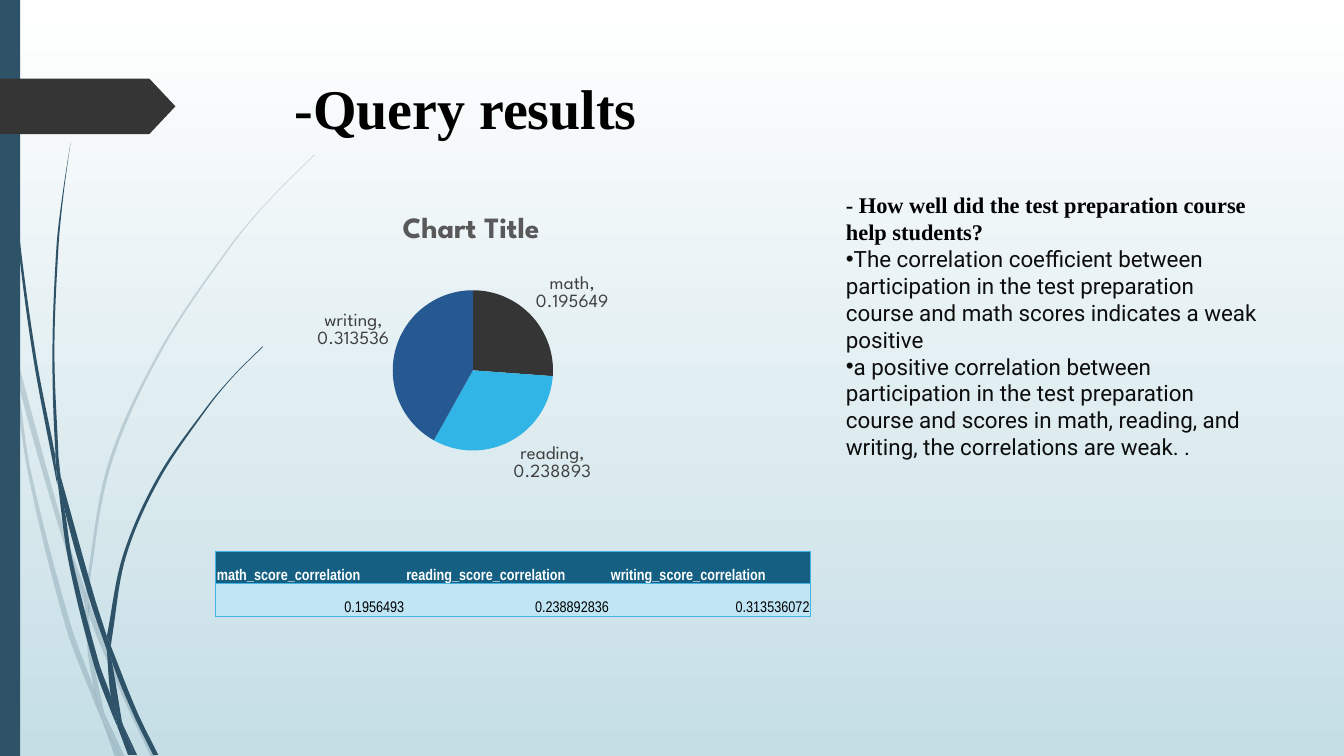
from math import hypot

from lxml import etree
from pptx import Presentation
from pptx.chart.data import CategoryChartData
from pptx.dml.color import RGBColor
from pptx.enum.chart import XL_CHART_TYPE, XL_LABEL_POSITION
from pptx.enum.shapes import MSO_SHAPE
from pptx.enum.text import MSO_ANCHOR, PP_ALIGN
from pptx.oxml import parse_xml
from pptx.oxml.ns import nsdecls, qn
from pptx.util import Pt

PIE = XL_CHART_TYPE.PIE
OUTSIDE_END = XL_LABEL_POSITION.OUTSIDE_END
RECTANGLE, PENTAGON = MSO_SHAPE.RECTANGLE, MSO_SHAPE.PENTAGON
TOP, BOTTOM = MSO_ANCHOR.TOP, MSO_ANCHOR.BOTTOM
LEFT, RIGHT = PP_ALIGN.LEFT, PP_ALIGN.RIGHT

EMU_PER_PX = 9144
WHITE = RGBColor(0xFF, 0xFF, 0xFF)
BLACK = RGBColor(0x00, 0x00, 0x00)
BODY_INK = RGBColor(0x0D, 0x0D, 0x0D)
CHART_TITLE_GRAY = RGBColor(0x59, 0x59, 0x59)
CHART_LABEL_GRAY = RGBColor(0x40, 0x40, 0x40)
BACKGROUND_BLUE = RGBColor(0xC5, 0xDE, 0xE5)
STEM_BLUE = RGBColor(0x2E, 0x53, 0x69)
CHARCOAL = RGBColor(0x35, 0x35, 0x35)
SKY = RGBColor(0x31, 0xB4, 0xE6)
NAVY = RGBColor(0x26, 0x59, 0x91)
HEADER_BLUE = RGBColor(0x15, 0x60, 0x82)
ROW_BLUE = RGBColor(0xC0, 0xE6, 0xF5)
BORDER_BLUE = RGBColor(0x44, 0xB3, 0xE1)
SERIF, SANS, NARROW, CHART_FONT = "Times New Roman", "Roboto", "Arial Narrow", "League Spartan"

# Each blade is one edge going out, then the other edge coming back.
LIGHT_BLADES = [
    ([(11, 350), (9, 322), (0, 282)], [(0, 299), (10, 344), (11, 350)]),
    ([(14, 345), (17, 376), (58, 522), (84, 599)], [(85, 586), (62, 520), (14, 345)]),
    ([(88, 596), (88, 610), (123, 694), (150, 751)],
     [(155, 751), (127, 692), (92, 607), (88, 596)]),
    ([(105, 711), (119, 751)], [(124, 751), (105, 711)]),
    ([(11, 350), (28, 470), (65, 621), (92, 693), (101, 714)],
     [(99, 707), (93, 683), (70, 619), (31, 469), (17, 376), (11, 350)]),
    ([(84, 599), (87, 646), (93, 683), (96, 692), (105, 711)],
     [(103, 706), (91, 646), (88, 610), (84, 599)]),
    ([(312, 153), (268, 197), (228, 244), (158, 348), (107, 461), (85, 584)],
     [(88, 596), (88, 584), (110, 462), (160, 349), (229, 245), (268, 198), (312, 154)]),
    ([(101, 714), (114, 751)], [(119, 751), (101, 714)]),
    ([(85, 586), (84, 599), (88, 608)], [(88, 610), (88, 596), (85, 586)]),
    ([(93, 683), (99, 707), (101, 714), (119, 751)], [(105, 711), (96, 692), (93, 683)]),
]
DARK_BLADES = [
    ([(3, 0), (7, 110), (17, 233), (33, 355), (56, 477), (57, 481)],
     [(55, 457), (55, 453), (36, 355), (19, 232), (8, 109), (4, 0)]),
    ([(60, 472), (64, 505), (88, 592), (106, 645)], [(106, 631), (93, 590), (60, 472)]),
    ([(110, 641), (111, 656), (132, 708), (152, 749)], [(157, 749), (136, 706), (110, 641)]),
    ([(57, 477), (68, 557), (93, 659), (111, 708), (117, 722)],
     [(116, 717), (110, 691), (98, 657), (72, 556), (64, 505), (57, 477)]),
    ([(70, 141), (62, 193), (56, 245), (52, 349), (55, 449), (60, 472)],
     [(58, 453), (54, 349), (58, 245), (63, 193), (70, 141)]),
    ([(122, 719), (133, 749)], [(136, 749), (122, 719)]),
    ([(55, 449), (55, 453), (57, 477), (64, 505)], [(60, 472), (55, 449)]),
    ([(260, 344), (231, 373), (204, 405), (156, 474), (122, 551), (106, 631)],
     [(110, 641), (111, 633), (125, 552), (158, 476), (205, 406), (231, 374), (261, 344)]),
    ([(117, 722), (127, 749)], [(131, 749), (117, 722)]),
    ([(106, 645), (110, 691), (116, 706), (122, 719)],
     [(121, 716), (111, 656), (109, 651), (106, 645)]),
    ([(106, 645), (109, 651), (111, 656)], [(110, 641), (106, 631)]),
    ([(110, 691), (116, 717), (117, 722), (130, 749)],
     [(133, 749), (122, 719), (116, 706), (110, 691)]),
]


def px(length):
    return round(length * EMU_PER_PX)


def control_points(edge):
    """Return the two curve handles for every segment of a smooth edge."""
    padded = [edge[0], *edge, edge[-1]]
    handles = []
    for a, b, c, d in zip(padded, padded[1:], padded[2:], padded[3:]):
        third = hypot(c[0] - b[0], c[1] - b[1]) / 3
        leave = third / hypot(c[0] - a[0], c[1] - a[1])
        arrive = third / hypot(d[0] - b[0], d[1] - b[1])
        handles.append(((b[0] + (c[0] - a[0]) * leave, b[1] + (c[1] - a[1]) * leave),
                        (c[0] - (d[0] - b[0]) * arrive, c[1] - (d[1] - b[1]) * arrive)))
    return handles


def format_font(font, *, name, size, color, bold=False):
    font.name, font.size, font.bold = name, Pt(size), bold
    font.color.rgb = color


def write_text(paragraph, text, *, align=LEFT, bullet=None, line_spacing=None, **font):
    paragraph.text = text
    properties = paragraph._p.get_or_add_pPr()
    properties.set("marL", "0")
    properties.set("indent", "0")
    if bullet:
        etree.SubElement(properties, qn("a:buChar"), char=bullet)
    else:
        etree.SubElement(properties, qn("a:buNone"))
    paragraph.alignment = align
    paragraph.space_before = Pt(0)
    if line_spacing:
        paragraph.line_spacing = Pt(line_spacing)
    format_font(paragraph.runs[0].font, **font)


def set_layout(parent, before, inner=False, **fractions):
    for old in parent.findall(qn("c:layout")):
        parent.remove(old)
    target = '<c:layoutTarget val="inner"/>' if inner else ""
    values = "".join(f'<c:{key} val="{value}"/>' for key, value in fractions.items())
    parent.find(qn(before)).addprevious(parse_xml(
        f'<c:layout {nsdecls("c")}><c:manualLayout>{target}<c:xMode val="edge"/>'
        f'<c:yMode val="edge"/>{values}</c:manualLayout></c:layout>'))


class SlideBuilder:
    def __init__(self, presentation):
        self.slide = presentation.slides.add_slide(presentation.slide_layouts[1])
        self.shapes = self.slide.shapes

    def background(self, top, bottom):
        fill = self.slide.background.fill
        fill.gradient()
        fill.gradient_angle = 270
        for stop, color in zip(fill.gradient_stops, (top, bottom)):
            stop.color.rgb = color

    def paint(self, shape, color, opacity=100):
        shape.shadow.inherit = False
        shape.fill.solid()
        shape.fill.fore_color.rgb = color
        shape.line.fill.background()
        if opacity < 100:
            color_element = shape._element.spPr.find(qn("a:solidFill"))[0]
            etree.SubElement(color_element, qn("a:alpha"), val=str(opacity * 1000))

    def blades(self, outlines, color, opacity=100):
        group = self.shapes.add_group_shape()
        for out, back in outlines:
            points = [(px(x), px(y)) for x, y in out + back]
            builder = group.shapes.build_freeform(*points[0])
            builder.add_line_segments(points[1:], close=True)
            shape = builder.convert_to_shape()
            self.paint(shape, color, opacity)
            handles = control_points(out) + [None] + control_points(back)
            lines = list(shape._element.iter(qn("a:lnTo")))
            for line, pair in zip(lines, handles):
                if pair:
                    line.tag = qn("a:cubicBezTo")
                    for position, (x, y) in enumerate(pair):
                        line.insert(position, line.makeelement(qn("a:pt"), {
                            "x": str(px(x) - shape.left), "y": str(px(y) - shape.top)}))

    def preset(self, kind, box, color):
        shape = self.shapes.add_shape(kind, *map(px, box))
        self.paint(shape, color)
        return shape

    def placeholder(self, index, box, paragraphs):
        shape = self.slide.placeholders[index]
        shape.left, shape.top, shape.width, shape.height = map(px, box)
        frame = shape.text_frame
        frame.word_wrap, frame.vertical_anchor = True, TOP
        for number, (text, style) in enumerate(paragraphs):
            paragraph = frame.add_paragraph() if number else frame.paragraphs[0]
            write_text(paragraph, text, **style)

    def pie(self, box, title, values, colors):
        data = CategoryChartData()
        data.categories = values.keys()
        data.add_series("Series 1", values.values())
        chart = self.shapes.add_chart(PIE, *map(px, box), data).chart
        chart.has_legend = False
        format_font(chart.font, name=CHART_FONT, size=10, color=BLACK)
        write_text(chart.chart_title.text_frame.paragraphs[0], title, name=CHART_FONT,
                   size=21, color=CHART_TITLE_GRAY, bold=True)
        chart.chart_title.include_in_layout = False
        set_layout(chart.chart_title._element, "c:overlay", x=0.36, y=0.04)
        plot = chart.plots[0]
        plot.vary_by_categories = True
        for index, color in enumerate(colors):
            fill = plot.series[0].points[index].format.fill
            fill.solid()
            fill.fore_color.rgb = color
        labels = plot.series[0].data_labels
        format_font(labels.font, name=CHART_FONT, size=13.3, color=CHART_LABEL_GRAY)
        labels.show_category_name = labels.show_value = True
        labels.position = OUTSIDE_END
        separator = parse_xml(f'<c:separator {nsdecls("c")}>, </c:separator>')
        labels._element.find(qn("c:showBubbleSize")).addnext(separator)
        set_layout(chart._chartSpace.chart.plotArea, "c:pieChart",
                   inner=True, x=0.35, y=0.31, w=0.32, h=0.53)

    def table(self, left, top, widths, row_height, rows, row_styles):
        frame = self.shapes.add_table(len(rows), len(widths), px(left), px(top),
                                      px(sum(widths)), px(row_height * len(rows)))
        table = frame.table
        for column, width in zip(table.columns, widths):
            column.width = px(width)
        for r, (texts, (fill, style)) in enumerate(zip(rows, row_styles)):
            table.rows[r].height = px(row_height)
            for c, text in enumerate(texts):
                cell = table.cell(r, c)
                cell.margin_left = cell.margin_top = cell.margin_right = px(1)
                cell.margin_bottom = 0
                cell.vertical_anchor = BOTTOM
                write_text(cell.text_frame.paragraphs[0], text, name=NARROW, size=11, **style)
                sides = {"L": c == 0, "R": c == len(widths) - 1, "T": True, "B": True}
                self.cell_borders(cell, sides)
                cell.fill.solid()
                cell.fill.fore_color.rgb = fill

    def cell_borders(self, cell, sides):
        properties = cell._tc.get_or_add_tcPr()
        for side, visible in sides.items():
            line = etree.SubElement(properties, qn(f"a:ln{side}"), w=str(Pt(0.5)))
            fill = etree.SubElement(line, qn("a:solidFill" if visible else "a:noFill"))
            if visible:
                etree.SubElement(fill, qn("a:srgbClr"), val=str(BORDER_BLUE))


def main():
    presentation = Presentation()
    presentation.slide_width, presentation.slide_height = px(1333), px(750)
    builder = SlideBuilder(presentation)
    builder.background(WHITE, BACKGROUND_BLUE)
    builder.blades(LIGHT_BLADES, STEM_BLUE, opacity=20)
    builder.blades(DARK_BLADES, STEM_BLUE)
    builder.preset(RECTANGLE, (0, 0, 20, 750), STEM_BLUE)
    builder.preset(PENTAGON, (0, 78, 174, 55), CHARCOAL).adjustments[0] = 0.47

    heading = dict(name=SERIF, color=BLACK, bold=True)
    finding = dict(name=SANS, size=16, color=BODY_INK, bullet="•", line_spacing=19.2)
    builder.placeholder(0, (282, 68, 975, 92), [("-Query results", dict(heading, size=40))])
    builder.placeholder(1, (829, 185, 429, 279), [
        ("- How well did the test preparation course help students?",
         dict(heading, size=16, line_spacing=19.2)),
        ("The correlation coefficient between participation in the test preparation "
         "course and math scores indicates a weak positive", finding),
        ("a positive correlation between participation in the test preparation course "
         "and scores in math, reading, and writing, the correlations are weak. .", finding)])
    builder.pie((214, 195, 500, 300), "Chart Title",
                {"math": 0.195649, "reading": 0.238893, "writing": 0.313536},
                (CHARCOAL, SKY, NAVY))
    builder.table(214, 547, (188, 203, 199), 32, [
        [f"{subject}_score_correlation" for subject in ("math", "reading", "writing")],
        ["0.1956493", "0.238892836", "0.313536072"],
    ], [(HEADER_BLUE, dict(color=WHITE, bold=True)), (ROW_BLUE, dict(color=BLACK, align=RIGHT))])
    presentation.save("out.pptx")


if __name__ == "__main__":
    main()
